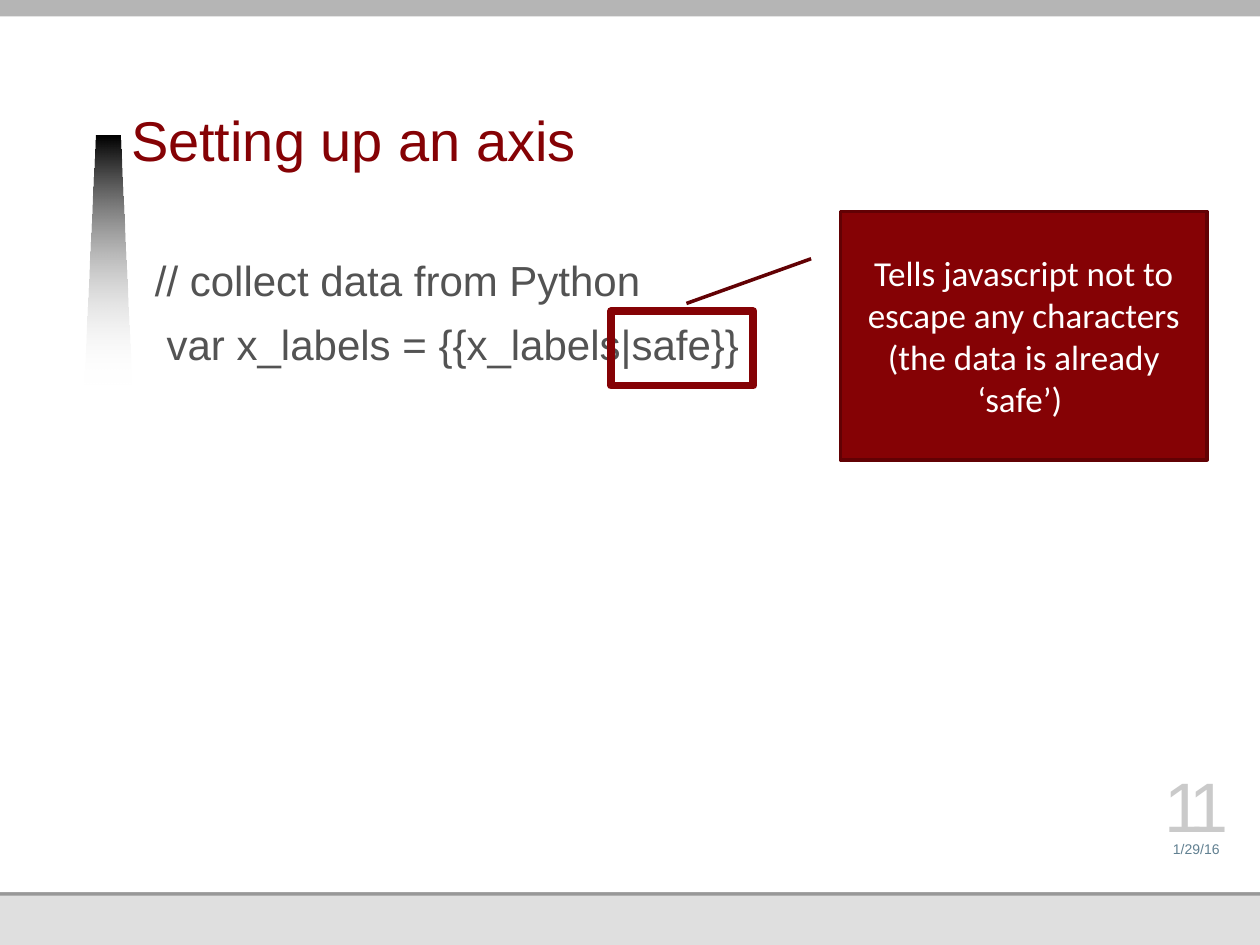
"""Build the "Setting up an axis" slide with its code lines and callout."""
from dataclasses import dataclass

import pptx
import pptx.dml.color
import pptx.enum.shapes
import pptx.enum.text
import pptx.util
from lxml import etree

Inches = pptx.util.Inches
Pt = pptx.util.Pt
Preset = pptx.enum.shapes.MSO_SHAPE
Align = pptx.enum.text.PP_ALIGN
Anchor = pptx.enum.text.MSO_ANCHOR
rgb = pptx.dml.color.RGBColor.from_string


@dataclass(frozen=True)
class Theme:
    accent: str = "850205"
    accent_edge: str = "620104"
    body: str = "535353"
    date: str = "618091"
    number: str = "CACACA"
    footer: str = "DFDFDF"
    rule: str = "989898"
    top_bar: str = "B5B5B5"
    white: str = "FFFFFF"
    black: str = "000000"
    title_size: int = 32
    body_size: int = 24
    callout_size: int = 20
    date_size: int = 8
    number_size: int = 40
    font: str = "Arial"
    callout_font: str = "Calibri"


theme = Theme()


def write(shape, text, *, size, color, font=theme.font, align=Align.LEFT, anchor=Anchor.TOP,
          insets=(0, 0, 0, 0), line_spacing=None, after=None, tracking=None):
    """Fill a shape with one paragraph per line of text."""
    frame = shape.text_frame
    frame.word_wrap = True
    frame.vertical_anchor = anchor
    frame.margin_left, frame.margin_top, frame.margin_right, frame.margin_bottom = map(Inches, insets)
    for index, line in enumerate(text.split("\n")):
        paragraph = frame.add_paragraph() if index else frame.paragraphs[0]
        paragraph.alignment = align
        if line_spacing:
            paragraph.line_spacing = Pt(line_spacing)
        if after:
            paragraph.space_after = Pt(after)
        run = paragraph.add_run()
        run.text = line
        run.font.name = font
        run.font.size = Pt(size)
        run.font.color.rgb = rgb(color)
        if tracking:
            run.font._element.set("spc", str(tracking * 100))


def add_box(preset, box, fill=None, line=None, width=0):
    """Add a preset shape with a plain fill and outline."""
    shape = shapes.add_shape(preset, *map(Inches, box))
    shape.shadow.inherit = False
    if fill:
        shape.fill.solid()
        shape.fill.fore_color.rgb = rgb(fill)
    else:
        shape.fill.background()
    if line:
        shape.line.color.rgb = rgb(line)
        shape.line.width = Pt(width)
    else:
        shape.line.fill.background()
    return shape


deck = pptx.Presentation()
deck.slide_width, deck.slide_height = Inches(10), Inches(7.5)
shapes = deck.slides.add_slide(deck.slide_layouts[6]).shapes

for top, height, color in (
    (0, 7.5, theme.footer),
    (1.78, 5.33, theme.rule),
    (0, 7.08, theme.white),
    (0, 0.13, theme.top_bar),
):
    add_box(Preset.RECTANGLE, (0, top, 10, height), fill=color)

outline = shapes.build_freeform(67, 305, scale=Inches(0.01))
outline.add_line_segments([(76, 108), (95, 108), (104, 305)], close=True)
beam = outline.convert_to_shape()
beam.shadow.inherit = False
beam.line.fill.background()
beam.fill.gradient()
beam.fill.gradient_angle = 270
for stop, position, color in zip(beam.fill.gradient_stops, (0, 1), (theme.black, theme.white)):
    stop.position = position
    stop.color.rgb = rgb(color)
drawing = "{http://schemas.openxmlformats.org/drawingml/2006/main}"
fade = beam._element.findall(f".//{drawing}gs/{drawing}srgbClr")[-1]
etree.SubElement(fade, f"{drawing}alpha").set("val", "0")

title = shapes.add_textbox(*map(Inches, (1.04, 0.34, 6.87, 1.08)))
write(title, "Setting up an axis", size=theme.title_size, color=theme.accent,
      anchor=Anchor.BOTTOM, insets=(0, 0, 0, 0.05), line_spacing=34)

code = shapes.add_textbox(*map(Inches, (1.23, 2.02, 7.71, 4.79)))
write(code, "// collect data from Python\n var x_labels = {{x_labels|safe}}",
      size=theme.body_size, color=theme.body, insets=(0, 0, 0, 0.05), after=8)

date = shapes.add_textbox(*map(Inches, (9.13, 6.58, 0.73, 0.22)))
write(date, "1/29/16", size=theme.date_size, color=theme.date,
      align=Align.CENTER, anchor=Anchor.BOTTOM)

page_number = shapes.add_textbox(*map(Inches, (9.13, 6.16, 0.73, 0.56)))
write(page_number, "11", size=theme.number_size, color=theme.number,
      align=Align.CENTER, anchor=Anchor.BOTTOM, tracking=-5)

add_box(Preset.RECTANGLE, (4.85, 2.47, 1.13, 0.59), line=theme.accent, width=4.5)

safe_note = add_box(Preset.LINE_CALLOUT_1, (6.67, 1.68, 2.91, 1.97),
                    fill=theme.accent, line=theme.accent_edge, width=2)
for index, value in enumerate((0.19, -0.08, 0.37, -0.42)):
    safe_note.adjustments[index] = value
write(safe_note, "Tells javascript not to escape any characters (the data is already ‘safe’) ",
      size=theme.callout_size, color=theme.white, font=theme.callout_font,
      align=Align.CENTER, anchor=Anchor.MIDDLE, insets=(0.1, 0.05, 0.1, 0.05))

deck.save("out.pptx")
